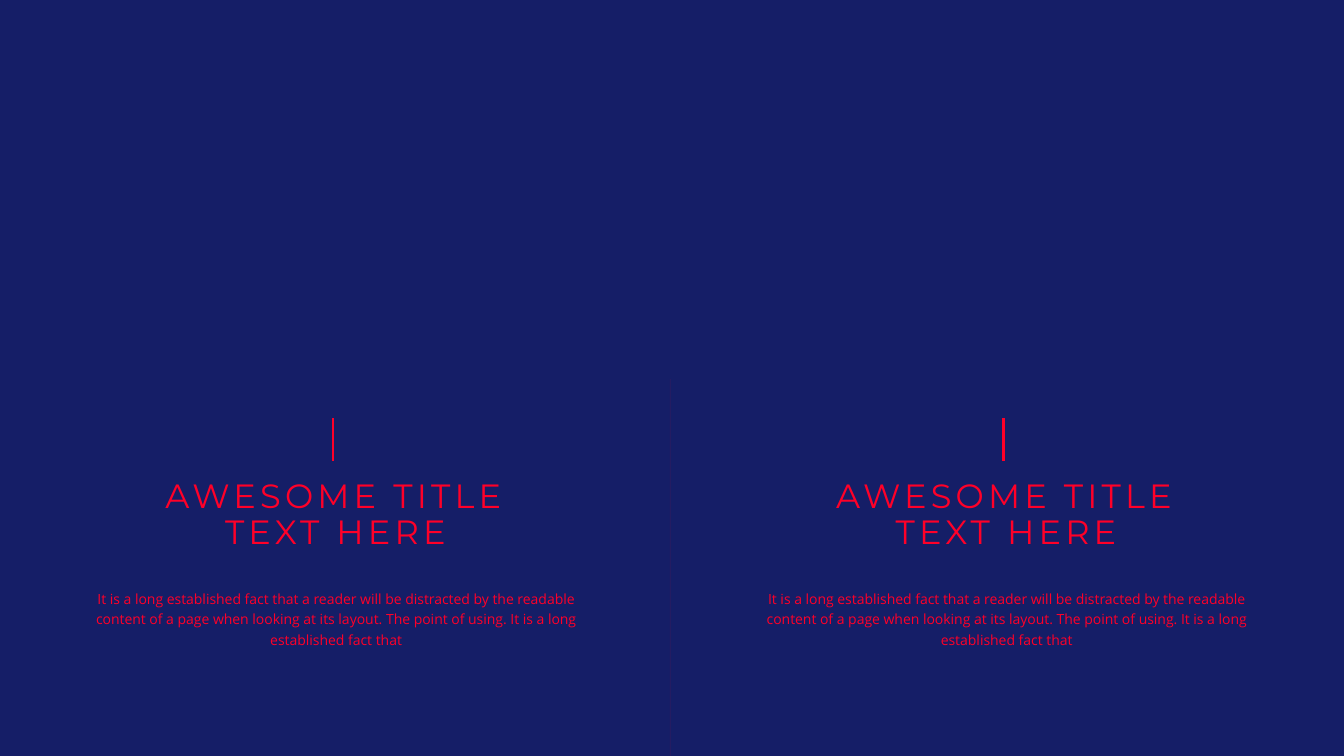
"""Build a slide with two mirrored title-and-text columns on dark blue."""
from dataclasses import dataclass

from lxml import etree
from pptx import Presentation
from pptx.dml.color import RGBColor
from pptx.enum.shapes import MSO_CONNECTOR
from pptx.enum.text import MSO_AUTO_SIZE, PP_ALIGN
from pptx.oxml.ns import qn
from pptx.slide import Slide
from pptx.util import Cm, Pt

NAVY = RGBColor(0x15, 0x1E, 0x67)
RED = RGBColor(0xFF, 0x00, 0x28)
STRAIGHT = MSO_CONNECTOR.STRAIGHT
CENTER = PP_ALIGN.CENTER
FIT_SHAPE = MSO_AUTO_SIZE.SHAPE_TO_FIT_TEXT

SLIDE_WIDTH, SLIDE_HEIGHT = 33.87, 19.05
COLUMN_STEP = 16.9


@dataclass(frozen=True)
class Copy:
    """Text block of a column, with lengths in centimetres and sizes in points."""
    text: str
    left: float
    top: float
    width: float
    height: float
    font: str
    size: float
    line_spacing: float
    letter_spacing: float = 0


@dataclass(frozen=True)
class Rule:
    """Vertical line, with lengths in centimetres and thickness in points."""
    x: float
    top: float
    bottom: float
    thickness: float
    opacity: int = 100


TITLE = Copy("AWESOME TITLE\vTEXT HERE", 1.7, 11.96, 13.51, 2.11,
             "Montserrat", 24, 0.9, 3)
BODY = Copy("It is a long established fact that a reader will be distracted by "
            "the readable content of a page when looking at its layout. The "
            "point of using. It is a long established fact that",
            2.41, 14.68, 12.12, 1.8, "Open Sans", 10, 1.2)
ACCENT = Rule(8.39, 10.54, 11.61, 2)
DIVIDER = Rule(16.89, 9.55, SLIDE_HEIGHT, 0.5, 10)


def draw_copy(slide: Slide, copy: Copy, shift: float) -> None:
    """Draw a centred text block moved right by shift."""
    block = slide.shapes.add_textbox(Cm(copy.left + shift), Cm(copy.top),
                                     Cm(copy.width), Cm(copy.height))
    frame = block.text_frame
    frame.word_wrap = True
    frame.auto_size = FIT_SHAPE
    frame.margin_left = frame.margin_right = 0
    paragraph = frame.paragraphs[0]
    paragraph.text = copy.text
    paragraph.alignment = CENTER
    paragraph.line_spacing = copy.line_spacing
    paragraph.font.name = copy.font
    paragraph.font.size = Pt(copy.size)
    paragraph.font.color.rgb = RED
    if copy.letter_spacing:
        defaults = paragraph._p.pPr.find(qn("a:defRPr"))
        defaults.set("spc", str(round(copy.letter_spacing * 100)))


def draw_rule(slide: Slide, rule: Rule, shift: float = 0) -> None:
    """Draw a vertical red line moved right by shift."""
    x = Cm(rule.x + shift)
    stroke = slide.shapes.add_connector(STRAIGHT, x, Cm(rule.top), x, Cm(rule.bottom))
    stroke.line.color.rgb = RED
    stroke.line.width = Pt(rule.thickness)
    properties = stroke._element.spPr
    etree.SubElement(properties, qn("a:effectLst"))
    if rule.opacity < 100:
        color = properties.find(".//" + qn("a:srgbClr"))
        etree.SubElement(color, qn("a:alpha"), val=str(rule.opacity * 1000))


def main() -> None:
    """Build and save the slide."""
    presentation = Presentation()
    presentation.slide_width = Cm(SLIDE_WIDTH)
    presentation.slide_height = Cm(SLIDE_HEIGHT)
    slide = presentation.slides.add_slide(presentation.slide_layouts[6])
    slide.background.fill.solid()
    slide.background.fill.fore_color.rgb = NAVY
    for column in range(2):
        shift = column * COLUMN_STEP
        draw_copy(slide, TITLE, shift)
        draw_rule(slide, ACCENT, shift)
        draw_copy(slide, BODY, shift)
    draw_rule(slide, DIVIDER)
    presentation.save("out.pptx")


if __name__ == "__main__":
    main()
